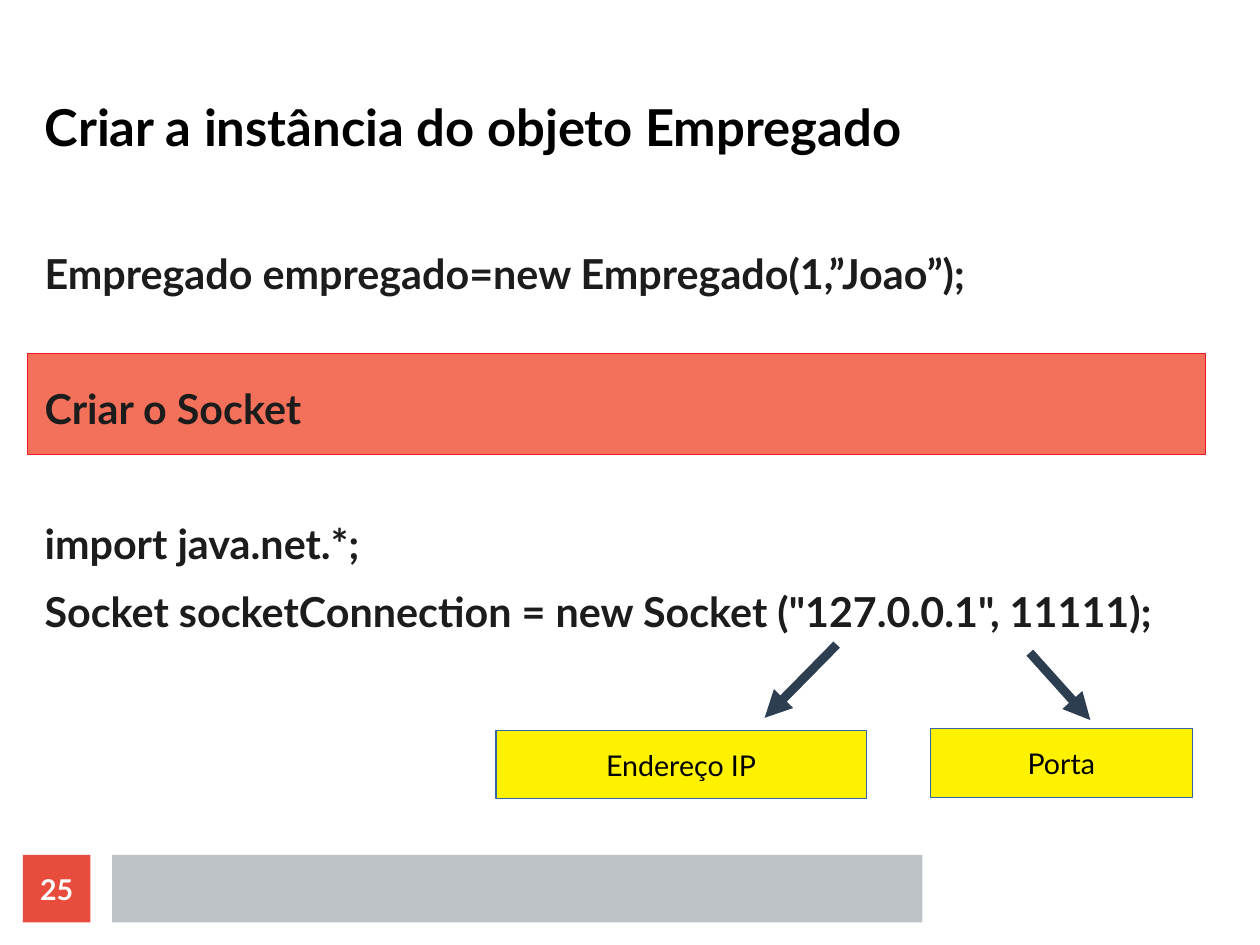
from lxml.etree import SubElement
from pptx import Presentation
from pptx.dml.color import RGBColor
from pptx.enum.shapes import MSO_CONNECTOR, MSO_SHAPE
from pptx.enum.text import MSO_ANCHOR, PP_ALIGN
from pptx.oxml.ns import qn
from pptx.util import Inches, Pt

FONT = "Lato"
COLORS = {
    "black": "000000",
    "body": "1C1C1C",
    "white": "FFFFFF",
    "footer": "BDC3C7",
    "number": "E74C3C",
    "band": "F3715A",
    "band_line": "ED1C24",
    "label": "FFF200",
    "label_line": "3465A4",
    "arrow": "2C3E50",
}
CM_PER_INCH = 2.54
LINE_GAP = 11.4
SECTION_GAP = 54

# Body lines with the space after each, in points
BODY_LINES = [
    ("Empregado empregado=new Empregado(1,”Joao”);", SECTION_GAP),
    ("Criar o Socket", SECTION_GAP),
    ("import java.net.*;", LINE_GAP),
    ('Socket socketConnection = new Socket ("127.0.0.1", 11111);', LINE_GAP),
]


def color(name):
    return RGBColor.from_string(COLORS[name])


def write_paragraph(paragraph, text, size, color_name, bold):
    paragraph.text = text
    font = paragraph.runs[0].font
    font.name = FONT
    font.size = Pt(size)
    font.bold = bold
    font.color.rgb = color(color_name)


def clear_margins(text_frame):
    text_frame.margin_left = text_frame.margin_right = 0
    text_frame.margin_top = text_frame.margin_bottom = 0


def add_box(slide, left, top, width, height, fill, line=None):
    shape = slide.shapes.add_shape(
        MSO_SHAPE.RECTANGLE,
        Inches(left), Inches(top), Inches(width), Inches(height))
    shape.shadow.inherit = False
    shape.fill.solid()
    shape.fill.fore_color.rgb = color(fill)
    if line:
        shape.line.color.rgb = color(line)
        shape.line.width = Pt(0)
    else:
        shape.line.fill.background()
    return shape


def center_text(shape, text, color_name, bold=False):
    text_frame = shape.text_frame
    clear_margins(text_frame)
    text_frame.vertical_anchor = MSO_ANCHOR.MIDDLE
    paragraph = text_frame.paragraphs[0]
    write_paragraph(paragraph, text, 18, color_name, bold)
    paragraph.alignment = PP_ALIGN.CENTER


def add_text(slide, left, top, width, height, lines, size, color_name,
             anchor=MSO_ANCHOR.TOP):
    text_box = slide.shapes.add_textbox(
        Inches(left), Inches(top), Inches(width), Inches(height))
    text_frame = text_box.text_frame
    text_frame.word_wrap = True
    text_frame.vertical_anchor = anchor
    clear_margins(text_frame)
    for index, (text, space_after) in enumerate(lines):
        paragraph = (text_frame.add_paragraph() if index
                     else text_frame.paragraphs[0])
        write_paragraph(paragraph, text, size, color_name, True)
        paragraph.space_after = Pt(space_after)


def add_arrow(slide, x1, y1, x2, y2):
    arrow = slide.shapes.add_connector(
        MSO_CONNECTOR.STRAIGHT,
        Inches(x1), Inches(y1), Inches(x2), Inches(y2))
    arrow.line.color.rgb = color("arrow")
    arrow.line.width = Pt(5.67)
    properties = arrow._element.spPr
    SubElement(properties.find(qn("a:ln")), qn("a:tailEnd"), type="triangle")
    SubElement(properties, qn("a:effectLst"))


def main():
    # Page of 28 by 21 cm
    presentation = Presentation()
    presentation.slide_width = Inches(28 / CM_PER_INCH)
    presentation.slide_height = Inches(21 / CM_PER_INCH)
    slide = presentation.slides.add_slide(presentation.slide_layouts[6])

    # Footer bar and slide number
    add_box(slide, 0.98, 7.48, 7.09, 0.59, "footer")
    number = add_box(slide, 0.2, 7.48, 0.59, 0.59, "number")
    center_text(number, "25", "white", bold=True)

    # Title
    add_text(slide, 0.39, 0.39, 10.24, 0.98,
             [("Criar a instância do objeto Empregado", 0)],
             32, "black", MSO_ANCHOR.BOTTOM)

    # Highlight band behind the code
    add_box(slide, 0.24, 3.09, 10.31, 0.89, "band", "band_line")
    add_text(slide, 0.39, 2.17, 10.04, 5.12, BODY_LINES, 26, "body")

    # Labels for the socket arguments
    for text, left, top, width, height in [
            ("Endereço IP", 4.34, 6.39, 3.24, 0.6),
            ("Porta", 8.14, 6.37, 2.29, 0.61)]:
        label = add_box(slide, left, top, width, height, "label", "label_line")
        center_text(label, text, "black")

    # Arrows from the arguments to their labels
    add_arrow(slide, 7.32, 5.64, 6.69, 6.28)
    add_arrow(slide, 9.01, 5.71, 9.54, 6.3)

    presentation.save("out.pptx")


if __name__ == "__main__":
    main()
